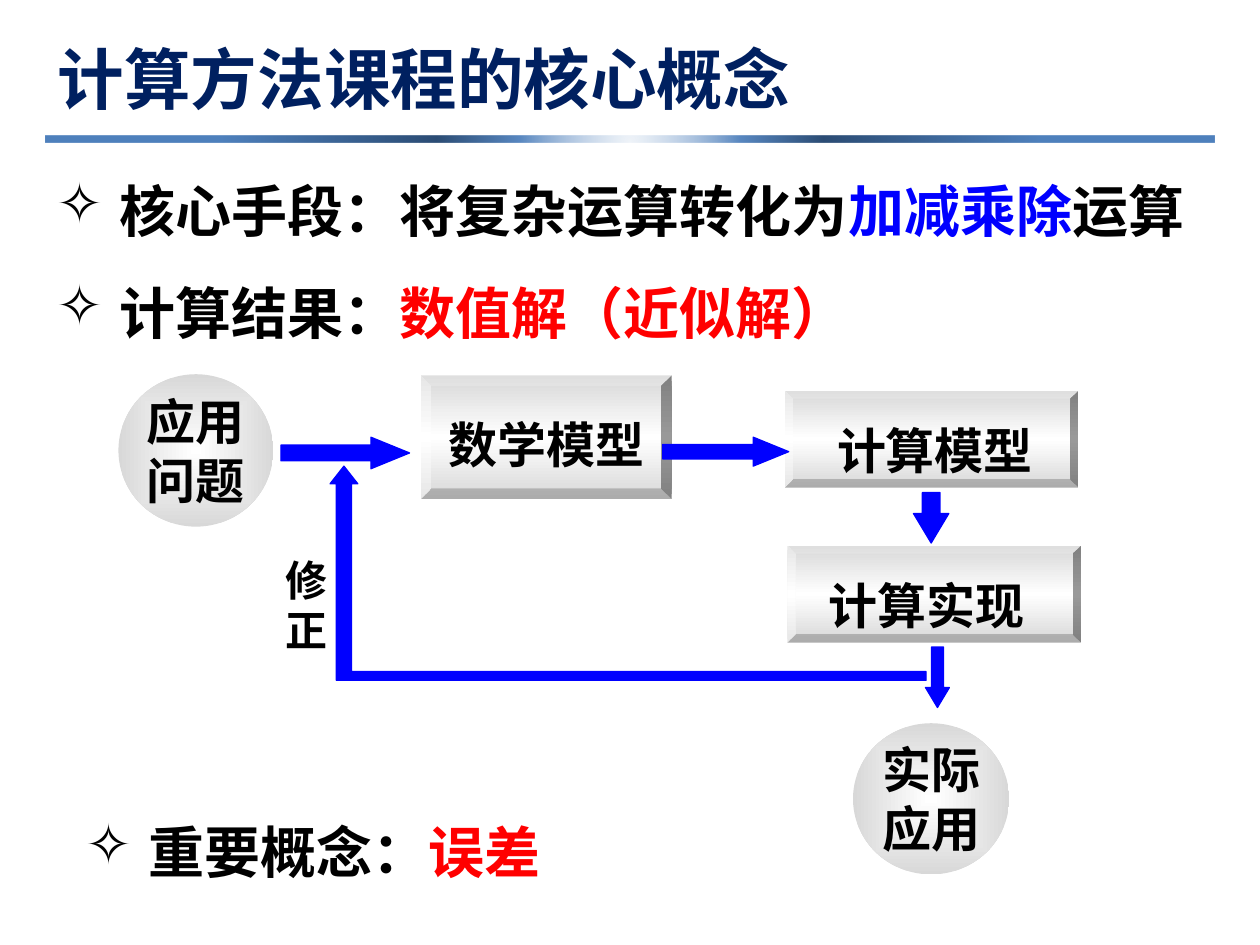
from lxml import etree
from pptx import Presentation
from pptx import util as u
from pptx.dml.color import RGBColor
from pptx.enum import shapes, text
from pptx.oxml.ns import qn

BLACK, BLUE, RED, NAVY = "000000", "0000FF", "FF0000", "002060"
LATIN, CHINESE = "Times New Roman", "Noto Sans CJK SC"
KIND = shapes.MSO_SHAPE

TITLE = "计算方法课程的核心概念"
BULLETS = [
    ((0.35, 1.35, 9.28, 0.64), [("核心手段：将复杂运算转化为", BLACK), ("加减乘除", BLUE), ("运算", BLACK)]),
    ((0.35, 2.16, 9.36, 0.64), [("计算结果：", BLACK), ("数值解（近似解）", RED)]),
    ((0.58, 6.44, 9.36, 0.64), [("重要概念：", BLACK), ("误差", RED)]),
]
CIRCLES = [
    ((0.94, 2.97, 1.23, 1.21), ["应用", "问题"]),
    ((6.77, 5.74, 1.24, 1.2), ["实际", "应用"]),
]
STEPS = [
    ((3.34, 2.98, 1.99, 0.98), (3.42, 3.29, 1.84, 0.46), "数学模型"),
    ((6.23, 3.1, 2.33, 0.77), (6.32, 3.34, 2.2, 0.36), "计算模型"),
    ((6.25, 4.33, 2.33, 0.77), (6.25, 4.57, 2.2, 0.36), "计算实现"),
]
ARROWS = [
    ((2.23, 3.47, 1.02, 0.25), 0, 1.225),
    ((5.26, 3.47, 1, 0.23), 0, 1.225),
    ((7.19, 3.97, 0.4, 0.28), 90, 0.833),
    ((7.2, 5.28, 0.48, 0.19), 90, 0.833),
]
FEEDBACK = [(7.35, 5.33), (2.79, 5.33), (2.79, 3.84), (2.84, 3.84), (2.73, 3.7),
            (2.62, 3.84), (2.67, 3.84), (2.67, 5.4), (7.35, 5.4)]
RULE_STOPS = [(0, "B9CDE5", 22), (19, "5887C0", 100), (33, "2C4D75", 100), (70, "4F81BD", 100)]
CIRCLE_STOPS = [(0, "FFFFFF", 100), (100, "D8D8D8", 100)]
STEP_STOPS = [(0, "D8D8D8", 100), (50, "FFFFFF", 100), (100, "D8D8D8", 100)]


def color(value):
    return RGBColor.from_string(value)


def inches(frame):
    return [u.Inches(value) for value in frame]


def add_part(parent, kind, frame):
    shape = parent.add_shape(kind, *inches(frame))
    shape.shadow.inherit = False
    shape.line.fill.background()
    return shape


def fill_gradient(shape, stops, path_kind=None, focus=(50, 50, 50, 50)):
    shape.fill.gradient()
    gradient = shape.fill._xPr.find(qn("a:gradFill"))
    for child in list(gradient):
        gradient.remove(child)
    stop_list = etree.SubElement(gradient, qn("a:gsLst"))
    for position, value, opacity in stops:
        stop = etree.SubElement(stop_list, qn("a:gs"), pos=str(position * 1000))
        tint = etree.SubElement(stop, qn("a:srgbClr"), val=value)
        if opacity < 100:
            etree.SubElement(tint, qn("a:alpha"), val=str(opacity * 1000))
    if path_kind:
        route = etree.SubElement(gradient, qn("a:path"), path=path_kind)
        sides = {side: str(share * 1000) for side, share in zip("ltrb", focus)}
        etree.SubElement(route, qn("a:fillToRect"), **sides)
    else:
        etree.SubElement(gradient, qn("a:lin"), ang="5400000", scaled="0")


def fill_blue(shape):
    shape.shadow.inherit = False
    shape.fill.solid()
    shape.fill.fore_color.rgb = color(BLUE)
    shape.line.color.rgb = color(BLUE)
    shape.line.width = u.Pt(0.75)


def write(para, spans, size, align=text.PP_ALIGN.LEFT, latin=LATIN):
    para.alignment = align
    for words, value in spans:
        span = para.add_run()
        span.text = words
        span.font.size = u.Pt(size)
        span.font.bold = True
        span.font.name = latin
        span.font.color.rgb = color(value)
        span.font._element.find(qn("a:latin")).addnext(
            etree.Element(qn("a:ea"), typeface=CHINESE))


def add_text(parent, frame, spans, size, margin=None, align=text.PP_ALIGN.LEFT):
    box = parent.add_textbox(*inches(frame))
    body = box.text_frame
    body.word_wrap = True
    if margin is not None:
        body.margin_left = body.margin_right = body.margin_top = body.margin_bottom = margin
    write(body.paragraphs[0], spans, size, align)
    return body.paragraphs[0]


def add_bullet(page, frame, spans):
    properties = add_text(page.shapes, frame, spans, 32)._p.get_or_add_pPr()
    properties.set("marL", str(u.Inches(0.5)))
    properties.set("indent", str(-u.Inches(0.5)))
    etree.SubElement(properties, qn("a:buChar"), char="✧")


def add_circle(page, frame, lines):
    circle = add_part(page.shapes, KIND.OVAL, frame)
    fill_gradient(circle, CIRCLE_STOPS, "shape")
    body = circle.text_frame
    body.word_wrap = False
    body.margin_left = body.margin_right = 0
    body.vertical_anchor = text.MSO_ANCHOR.MIDDLE
    for index, line in enumerate(lines):
        para = body.add_paragraph() if index else body.paragraphs[0]
        write(para, [(line, BLACK)], 28, text.PP_ALIGN.CENTER)


def add_step(page, frame, label_frame, label):
    group = page.shapes.add_group_shape()
    block = add_part(group.shapes, KIND.BEVEL, frame)
    block.adjustments[0] = 0.084
    fill_gradient(block, STEP_STOPS)
    add_text(group.shapes, label_frame, [(label, BLACK)], 28, 0, text.PP_ALIGN.CENTER)


def add_arrow(page, frame, rotation, head):
    arrow = add_part(page.shapes, KIND.RIGHT_ARROW, frame)
    arrow.adjustments[0] = 0.5
    arrow.adjustments[1] = head
    arrow.rotation = rotation
    fill_blue(arrow)


def add_feedback(page):
    start, *corners = [inches(point) for point in FEEDBACK]
    outline = page.shapes.build_freeform(*start)
    outline.add_line_segments(corners, close=True)
    fill_blue(outline.convert_to_shape())
    add_text(page.shapes, (2.17, 4.35, 0.6, 0.91), [("修正", BLACK)], 24)


def main():
    deck = Presentation()
    deck.slide_width, deck.slide_height = inches((10, 7.5))
    page = deck.slides.add_slide(deck.slide_layouts[5])

    title = page.shapes.title
    title.left, title.top, title.width, title.height = inches((0.36, 0.25, 8, 0.83))
    title.text_frame.vertical_anchor = text.MSO_ANCHOR.TOP
    write(title.text_frame.paragraphs[0], [(TITLE, NAVY)], 38, latin=CHINESE)

    rule = add_part(page.shapes, KIND.FLOWCHART_PROCESS, (0.36, 1.08, 9.28, 0.05))
    fill_gradient(rule, RULE_STOPS, "circle", (50, 130, 50, -30))

    for frame, spans in BULLETS:
        add_bullet(page, frame, spans)
    for frame, lines in CIRCLES:
        add_circle(page, frame, lines)
    for step in STEPS:
        add_step(page, *step)
    for arrow in ARROWS:
        add_arrow(page, *arrow)
    add_feedback(page)

    deck.save("out.pptx")


if __name__ == "__main__":
    main()
